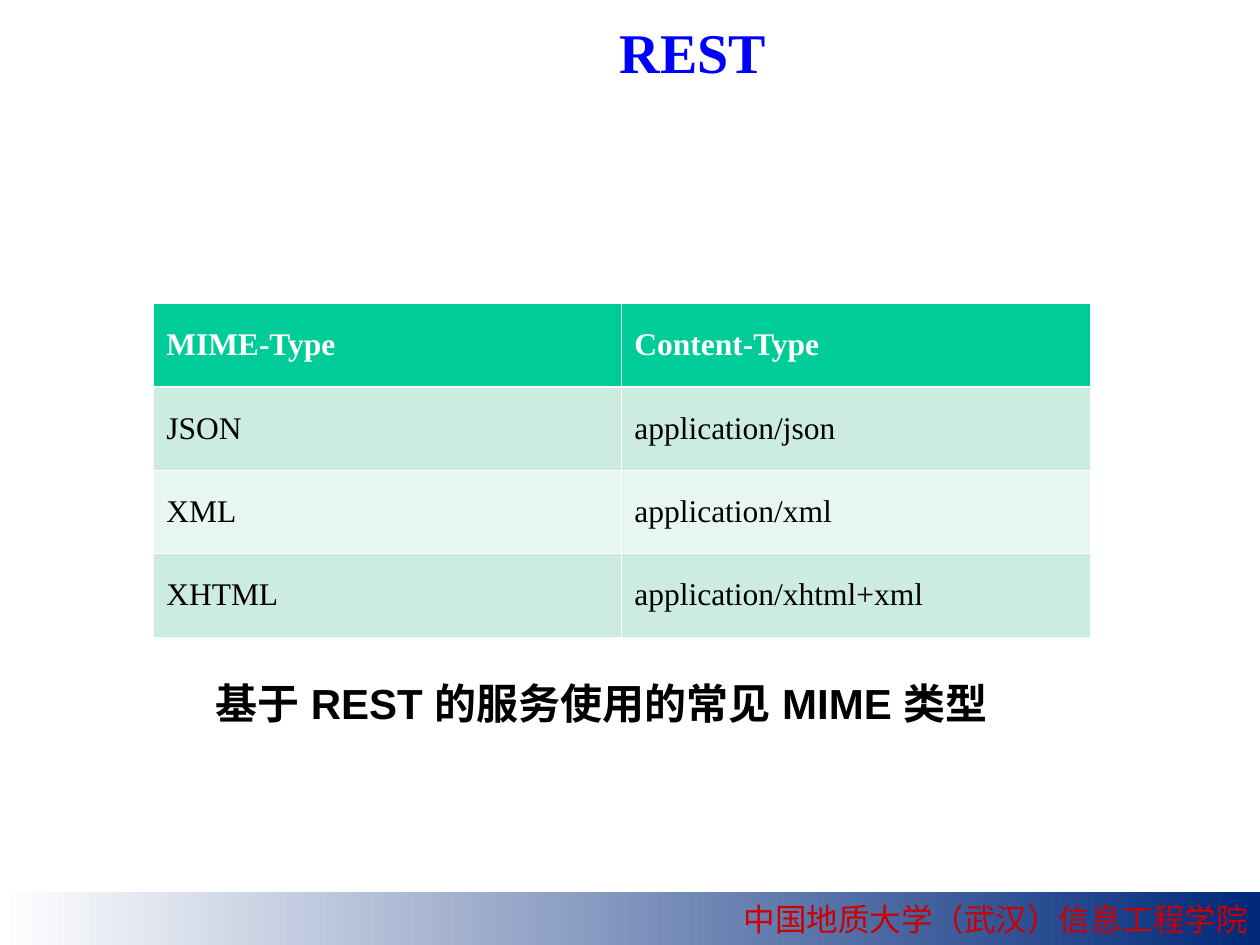
"""Build the REST slide listing common MIME types."""
from dataclasses import dataclass

from lxml.etree import SubElement
from pptx import Presentation
from pptx.dml.color import RGBColor as RGB
from pptx.enum.shapes import MSO_SHAPE as Shape
from pptx.enum.text import MSO_ANCHOR as Anchor, MSO_AUTO_SIZE as AutoSize, PP_ALIGN as Align
from pptx.oxml.ns import qn
from pptx.util import Inches, Pt

WIDTH, HEIGHT = Inches(10), Inches(7.5)


@dataclass(frozen=True)
class Theme:
    serif: str = "Times New Roman"
    sans: str = "Arial"
    cjk: str = "Noto Sans CJK SC"
    title: float = 32
    caption: float = 24
    body: float = 18
    white: str = "FFFFFF"
    black: str = "000000"
    blue: str = "0000FF"
    red: str = "CC0000"
    navy: str = "00297A"
    header: str = "00CC99"
    bands: tuple = ("CBECDE", "E7F6EF")
    thin: float = 0.45
    thick: float = 1.47


@dataclass(frozen=True)
class Box:
    """Left, top, width and height as shares of the slide."""
    x: float
    y: float
    w: float
    h: float

    def emu(self) -> tuple:
        return tuple(round(v * side) for v, side in
                     zip((self.x, self.y, self.w, self.h), (WIDTH, HEIGHT) * 2))


@dataclass(frozen=True)
class Style:
    font: str
    size: float
    color: str
    bold: bool = False
    align: Align = Align.LEFT


T = Theme()
TITLE = Style(T.serif, T.title, T.blue, True, Align.CENTER)
CAPTION = Style(T.sans, T.caption, T.black, True)
FOOTER = Style(T.cjk, T.body, T.red, align=Align.RIGHT)
HEAD = Style(T.serif, T.body, T.white, True)
CELL = Style(T.serif, T.body, T.black)

ROWS = (
    ("MIME-Type", "Content-Type"),
    ("JSON", "application/json"),
    ("XML", "application/xml"),
    ("XHTML", "application/xhtml+xml"),
)


def set_attrs(target, values: dict) -> None:
    for name, value in values.items():
        setattr(target, name, value)


def write(tf, text: str, style: Style) -> None:
    p = tf.paragraphs[0]
    p.alignment = style.align
    r = p.add_run()
    r.text = text
    set_attrs(r.font, {"name": style.font, "size": Pt(style.size), "bold": style.bold})
    r.font.color.rgb = RGB.from_string(style.color)
    SubElement(r.font._element, qn("a:ea"), typeface=style.font)


def add_border(cell, side: str, width: float) -> None:
    ln = SubElement(cell._tc.get_or_add_tcPr(), qn(f"a:ln{side}"), w=str(Pt(width)))
    SubElement(SubElement(ln, qn("a:solidFill")), qn("a:srgbClr"), val=T.white)


def add_footer(s, text: str, box: Box) -> None:
    sp = s.shapes.add_shape(Shape.RECTANGLE, *box.emu())
    sp.shadow.inherit = False
    sp.line.fill.background()
    sp.fill.gradient()
    sp.fill.gradient_angle = 0
    for stop, color, position in zip(sp.fill.gradient_stops, (T.white, T.navy), (0, 1)):
        stop.color.rgb = RGB.from_string(color)
        stop.position = position
    set_attrs(sp.text_frame, {"word_wrap": False, "vertical_anchor": Anchor.MIDDLE})
    write(sp.text_frame, text, FOOTER)


def add_title(s, text: str, box: Box) -> None:
    sp = s.shapes.title
    set_attrs(sp, dict(zip(("left", "top", "width", "height"), box.emu())))
    set_attrs(sp.text_frame, {"vertical_anchor": Anchor.MIDDLE, "margin_bottom": Inches(0.1)})
    write(sp.text_frame, text, TITLE)


def add_type_table(s, rows: tuple, box: Box) -> None:
    table = s.shapes.add_table(len(rows), len(rows[0]), *box.emu()).table
    for i, row in enumerate(rows):
        fill = T.bands[(i - 1) % 2] if i else T.header
        for j, text in enumerate(row):
            cell = table.cell(i, j)
            cell.vertical_anchor = Anchor.MIDDLE
            for side in "LRTB":
                under_head = (i, side) in ((0, "B"), (1, "T"))
                add_border(cell, side, T.thick if under_head else T.thin)
            cell.fill.solid()
            cell.fill.fore_color.rgb = RGB.from_string(fill)
            write(cell.text_frame, text, CELL if i else HEAD)


def add_caption(s, text: str, box: Box) -> None:
    tf = s.shapes.add_textbox(*box.emu()).text_frame
    set_attrs(tf, {"word_wrap": True, "vertical_anchor": Anchor.MIDDLE,
                   "auto_size": AutoSize.SHAPE_TO_FIT_TEXT})
    write(tf, text, CAPTION)


def main() -> None:
    prs = Presentation()
    set_attrs(prs, {"slide_width": WIDTH, "slide_height": HEIGHT})
    s = prs.slides.add_slide(prs.slide_layouts[5])
    add_footer(s, "中国地质大学（武汉）信息工程学院", Box(0, 0.944, 1, 0.056))
    add_title(s, "REST", Box(0.1, 0.007, 0.9, 0.101))
    add_type_table(s, ROWS, Box(0.122, 0.321, 0.743, 0.353))
    add_caption(s, "基于 REST 的服务使用的常见 MIME 类型", Box(0.161, 0.684, 0.653, 0.12))
    prs.save("out.pptx")


if __name__ == "__main__":
    main()
